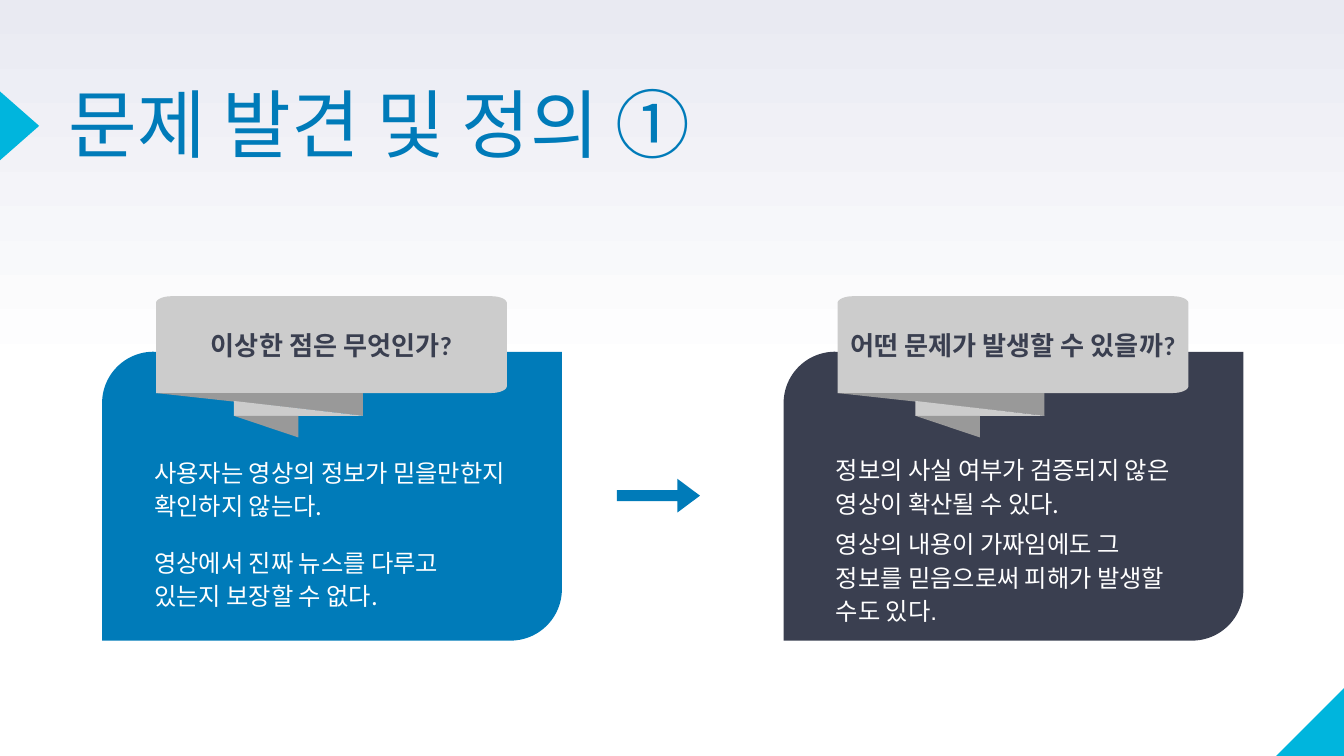
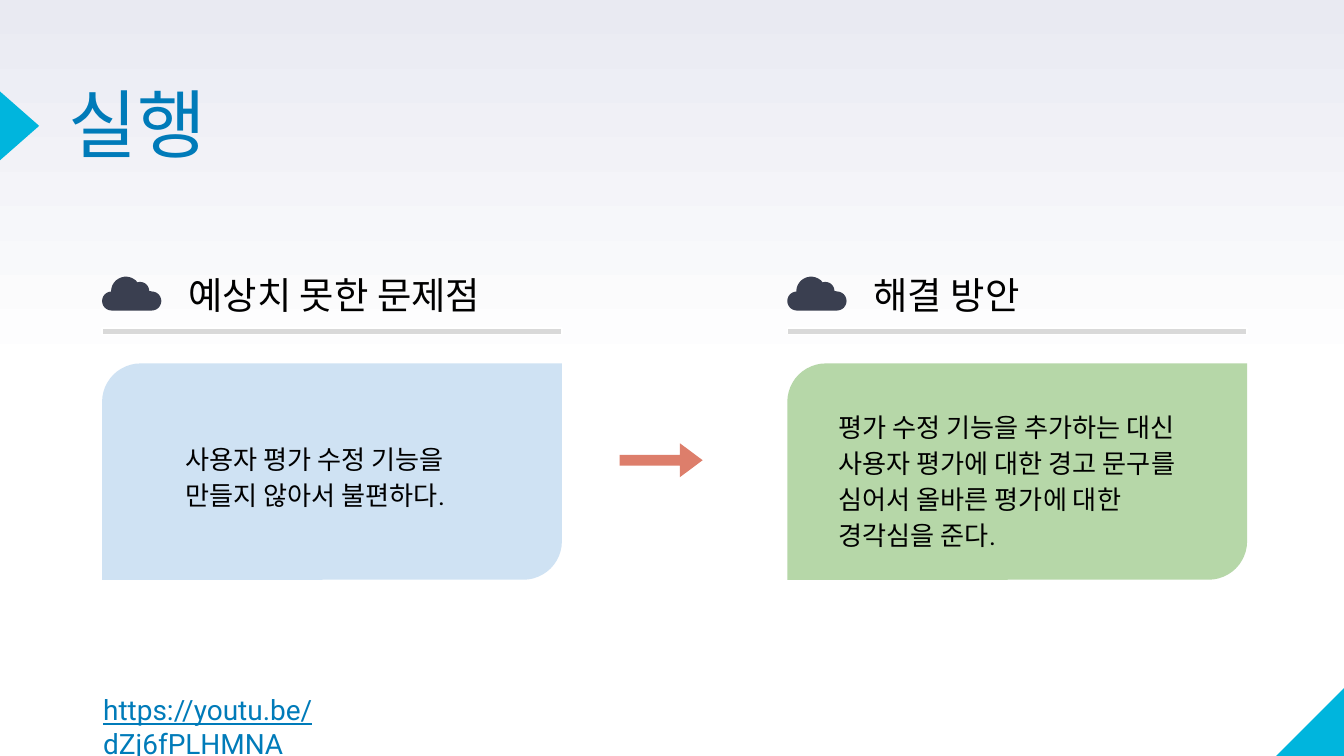
from copy import deepcopy
from math import cos, radians, sin

from pptx import Presentation
from pptx import util as u
from pptx.dml.color import RGBColor
from pptx.enum import shapes, text
from pptx.oxml.ns import qn

WHITE = RGBColor(0xFF, 0xFF, 0xFF)
BLACK = RGBColor(0, 0, 0)
LAVENDER = RGBColor(0xE9, 0xEA, 0xF2)
CYAN = RGBColor(0x00, 0xB5, 0xDD)
BLUE = RGBColor(0x00, 0x7B, 0xB9)
SLATE = RGBColor(0x3A, 0x3F, 0x50)
SILVER = RGBColor(0xCC, 0xCC, 0xCC)
GRAY = RGBColor(0x99, 0x99, 0x99)
RULE_GRAY = RGBColor(0xD9, 0xD9, 0xD9)
CORAL = RGBColor(0xDD, 0x7E, 0x6B)
PALE_BLUE = RGBColor(0xCF, 0xE2, 0xF3)
PALE_GREEN = RGBColor(0xB6, 0xD7, 0xA8)

SANS = "Noto Sans CJK KR"
SHAPE = shapes.MSO_SHAPE
CARD_LEFT = 1.93
CARD_WIDTH = 8.69


def arc(x, y, radius_x, radius_y, start, end, steps=12):
    angles = [radians(start + (end - start) * i / steps) for i in range(steps + 1)]
    return [(x + radius_x * cos(a), y + radius_y * sin(a)) for a in angles]


class Slides:
    def __init__(self):
        self.deck = Presentation()
        self.deck.slide_width = u.Cm(25.4)
        self.deck.slide_height = u.Cm(14.29)
        self.page = None

    def start(self, title, width, font):
        self.page = self.deck.slides.add_slide(self.deck.slide_layouts[6])
        fill = self.page.background.fill
        fill.gradient()
        fill.gradient_angle = 90
        for stop, color, position in zip(fill.gradient_stops, (WHITE, LAVENDER), (0, 1)):
            stop.color.rgb = color
            stop.position = position
        first = next(self.page._element.iter(qn("a:gs")))
        middle = deepcopy(first)
        middle.set("pos", "50000")
        first.addnext(middle)
        self.shape(SHAPE.RIGHT_TRIANGLE, 24.12, 12.99, 1.3, 1.3, CYAN).rotation = 270
        self.shape(SHAPE.ISOSCELES_TRIANGLE, -0.28, 2.01, 1.3, 0.74, CYAN).rotation = 90
        self.text(title, 1.3, 1.8, width, 1.5, 40, font, BLUE, spacing=0.8, inset=0)

    def paint(self, shape, color):
        shape.shadow.inherit = False
        shape.fill.solid()
        shape.fill.fore_color.rgb = color
        shape.line.fill.background()
        return shape

    def shape(self, kind, left, top, width, height, color, adjustments=()):
        shape = self.page.shapes.add_shape(
            kind, u.Cm(left), u.Cm(top), u.Cm(width), u.Cm(height))
        for i, value in enumerate(adjustments):
            shape.adjustments[i] = value
        return self.paint(shape, color)

    def outline(self, left, top, points, color):
        corners = [(u.Cm(left + x), u.Cm(top + y)) for x, y in points]
        builder = self.page.shapes.build_freeform(*corners[0], scale=1.0)
        builder.add_line_segments(corners[1:], close=True)
        return self.paint(builder.convert_to_shape(), color)

    def fill_text(self, box, words, size, font, color, inset_x, inset_y):
        frame = box.text_frame
        frame.word_wrap = True
        frame.margin_left = frame.margin_right = u.Cm(inset_x)
        frame.margin_top = frame.margin_bottom = u.Cm(inset_y)
        para = frame.paragraphs[0]
        para.add_run().text = words
        para.font.size = u.Pt(size)
        para.font.name = font
        para.font.color.rgb = color
        return para

    def text(self, words, left, top, width, height, size, font, color,
             spacing=1.0, inset=0.25):
        box = self.page.shapes.add_textbox(
            u.Cm(left), u.Cm(top), u.Cm(width), u.Cm(height))
        para = self.fill_text(box, words, size, font, color, inset, inset)
        para.line_spacing = spacing
        return para

    def card(self, left, top, height, color):
        self.shape(SHAPE.ROUND_2_DIAG_RECTANGLE, left, top, CARD_WIDTH, height,
                   color, (0.178, 0))

    def arrow(self, left, top, color):
        self.shape(SHAPE.RIGHT_ARROW, left, top, 1.57, 0.64, color, (0.32, 0.67))

    def ribbon(self, words, left, top):
        width, height, round_x, round_y = 6.63, 1.83, 0.3, 0.13
        right, bottom = width - round_x, height - round_y
        label = (arc(round_x, round_y, round_x, round_y, 180, 270)
                 + arc(right, round_y, round_x, round_y, 270, 360)
                 + arc(right, bottom, round_x, round_y, 0, 90)
                 + [(0, height)])
        box = self.outline(left, top, label, SILVER)
        box.text_frame.vertical_anchor = text.MSO_ANCHOR.MIDDLE
        para = self.fill_text(box, words, 14, "Calibri", SLATE, 0.18, 0.1)
        para.alignment = text.PP_ALIGN.CENTER
        para.font.bold = True
        folds = (
            (((0, height), (3.91, height), (3.91, 2.26)), GRAY),
            (((1.47, 1.98), (3.91, 2.26), (1.47, 2.26)), SILVER),
            (((1.47, 2.26), (2.69, 2.26), (2.69, 2.67)), GRAY),
        )
        for points, color in folds:
            self.outline(left, top, points, color)

    def cloud(self, left, top):
        puffs = ((0.18, 0.46, 0.18, 90, 270), (0.45, 0.28, 0.28, 180, 323),
                 (0.72, 0.27, 0.17, 250, 360), (0.94, 0.46, 0.18, 270, 450))
        points = [point for x, y, radius, start, end in puffs
                  for point in arc(x, y, radius, radius, start, end)]
        self.outline(left, top, points, SLATE)

    def heading(self, words, left):
        self.cloud(left, 5.23)
        rule = self.shape(SHAPE.RECTANGLE, left, 6.2, CARD_WIDTH, 0.13, RULE_GRAY)
        rule.line.color.rgb = WHITE
        rule.line.width = u.Pt(0.75)
        self.text(words, left + 1.38, 4.9, 7.29, 1.3, 20, "Roboto", BLACK)


def build_problem(slides):
    slides.start("문제 발견 및 정의 ➀", 16.92, "Arial")
    columns = (
        (CARD_LEFT, BLUE, "이상한 점은 무엇인가?", (
            ("사용자는 영상의 정보가 믿을만한지 확인하지 않는다.", 8.33, SANS),
            ("영상에서 진짜 뉴스를 다루고 있는지 보장할 수 없다.", 10.03, SANS))),
        (14.81, SLATE, "어떤 문제가 발생할 수 있을까?", (
            ("정보의 사실 여부가 검증되지 않은 영상이 확산될 수 있다.", 8.28, SANS),
            ("영상의 내용이 가짜임에도 그 정보를 믿음으로써 피해가 발생할 수도 있다.",
             9.68, "Arial"))),
    )
    for left, color, question, answers in columns:
        slides.card(left, 6.65, 5.46, color)
        for words, top, font in answers:
            slides.text(words, left + 0.74, top, 7.19, 1.6, 13, font, WHITE, 1.15)
        slides.ribbon(question, left + 1.02, 5.6)
    slides.arrow(11.66, 9.05, BLUE)


def build_action(slides):
    slides.start("실행", 3.56, "Roboto")
    columns = (
        (CARD_LEFT, PALE_BLUE, "예상치 못한 문제점",
         "사용자 평가 수정 기능을 만들지 않아서 불편하다.", 3.25, 8.05, 6.05, 1.73),
        (14.88, PALE_GREEN, "해결 방안",
         "평가 수정 기능을 추가하는 대신 사용자 평가에 대한 경고 문구를 "
         "심어서 올바른 평가에 대한 경각심을 준다.", 15.6, 7.44, 7.29, 2.97),
    )
    for left, color, title, words, *place in columns:
        slides.heading(title, left)
        slides.card(left, 6.87, 4.09, color)
        slides.text(words, *place, 14, "Roboto", BLACK, 1.15)
    slides.arrow(11.71, 8.38, CORAL)
    link = slides.text("https://youtu.be/dZj6fPLHMNA", 1.7, 12.85, 7.8, 1.17,
                       15, "Roboto", BLUE)
    link.font.underline = True


def main():
    slides = Slides()
    build_problem(slides)
    build_action(slides)
    slides.deck.save("out.pptx")


if __name__ == "__main__":
    main()
